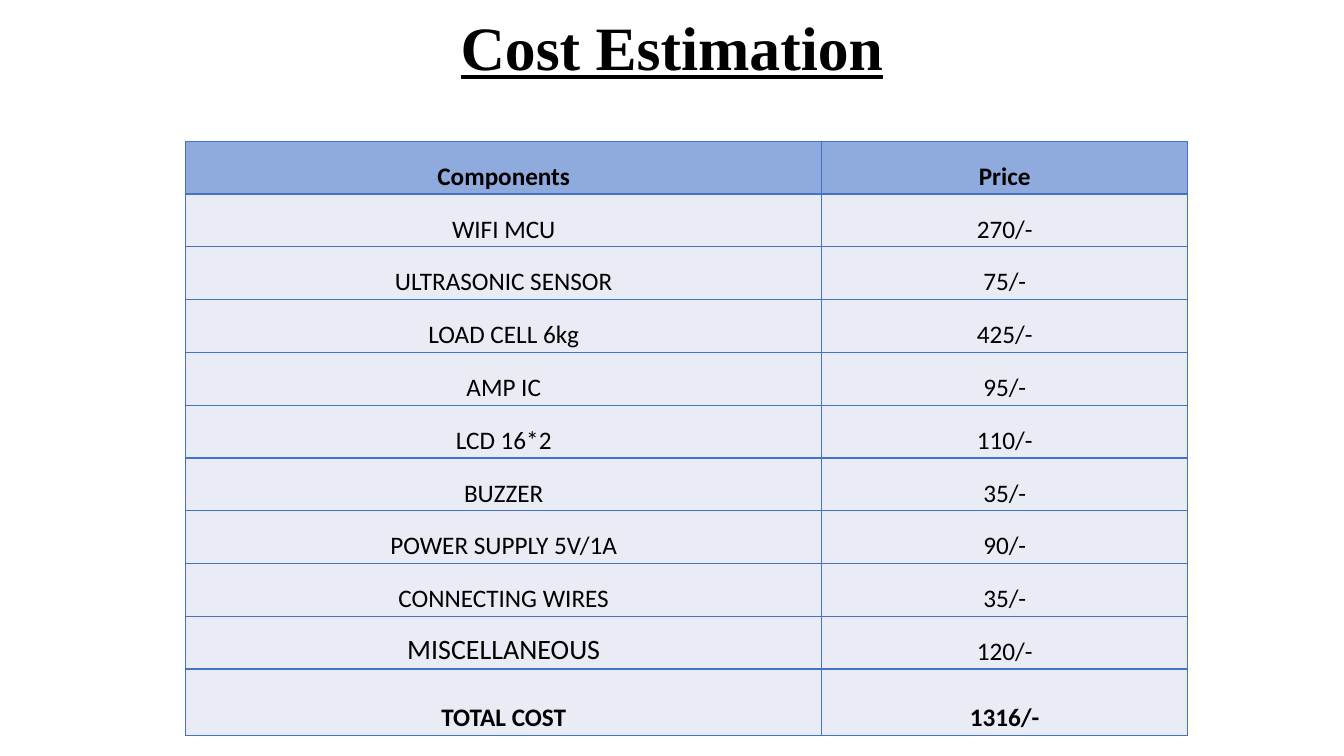
from dataclasses import dataclass

from lxml import etree
from pptx import Presentation
from pptx.dml.color import RGBColor
from pptx.enum.text import MSO_ANCHOR, PP_ALIGN
from pptx.oxml.ns import qn
from pptx.util import Cm, Pt

CENTER = PP_ALIGN.CENTER
MIDDLE = MSO_ANCHOR.MIDDLE
BOTTOM = MSO_ANCHOR.BOTTOM


@dataclass(frozen=True)
class Theme:
    ink: str = "000000"
    head: str = "8FAADC"
    body: str = "E9EBF5"
    rule: str = "4472C4"
    serif: str = "Times New Roman"
    sans: str = "Calibri"
    title: int = 44
    text: int = 18
    large: int = 20


class Deck:
    def __init__(self, theme):
        self.theme = theme
        self.file = Presentation()
        self.file.slide_width = Cm(33.87)
        self.file.slide_height = Cm(19.05)
        self.slide = self.file.slides.add_slide(self.file.slide_layouts[5])

    def style(self, para, face, size, bold):
        para.alignment = CENTER
        font = para.font
        font.name, font.size, font.bold = face, Pt(size), bold
        font.color.rgb = RGBColor.from_string(self.theme.ink)

    def title(self, text, left, top, width, height):
        box = self.slide.shapes.title
        box.left, box.top = Cm(left), Cm(top)
        box.width, box.height = Cm(width), Cm(height)
        frame = box.text_frame
        frame.text = text
        frame.vertical_anchor = MIDDLE
        para = frame.paragraphs[0]
        para.line_spacing = 0.9
        self.style(para, self.theme.serif, self.theme.title, True)
        para.font.underline = True

    def border(self, cell):
        """Draw a thin rule on all four sides; call before filling the cell."""
        props = cell._tc.get_or_add_tcPr()
        for side in ("lnL", "lnR", "lnT", "lnB"):
            line = etree.SubElement(props, qn(f"a:{side}"), w=str(Pt(1)))
            fill = etree.SubElement(line, qn("a:solidFill"))
            etree.SubElement(fill, qn("a:srgbClr"), val=self.theme.rule)

    def cell(self, cell, text, size, bold, fill):
        cell.text = text
        cell.vertical_anchor = BOTTOM
        cell.margin_left = cell.margin_right = Cm(0.08)
        cell.margin_top = cell.margin_bottom = Cm(0.05)
        self.style(cell.text_frame.paragraphs[0], self.theme.sans, size, bold)
        self.border(cell)
        cell.fill.solid()
        cell.fill.fore_color.rgb = RGBColor.from_string(fill)

    def table(self, rows, left, top, widths, heights, large):
        """Place a table with bold first and last rows; large names bigger texts."""
        frame = self.slide.shapes.add_table(
            len(rows), len(widths), Cm(left), Cm(top),
            Cm(sum(widths)), Cm(sum(heights)))
        grid = frame.table
        for col, width in zip(grid.columns, widths):
            col.width = Cm(width)
        last = len(rows) - 1
        for i, (row, height) in enumerate(zip(rows, heights)):
            grid.rows[i].height = Cm(height)
            fill = self.theme.body if i else self.theme.head
            for j, text in enumerate(row):
                size = self.theme.large if text in large else self.theme.text
                self.cell(grid.cell(i, j), text, size, i in (0, last), fill)


COSTS = [
    ("Components", "Price"),
    ("WIFI MCU", "270/-"),
    ("ULTRASONIC SENSOR", "75/-"),
    ("LOAD CELL 6kg", "425/-"),
    ("AMP IC", "95/-"),
    ("LCD 16*2", "110/-"),
    ("BUZZER", "35/-"),
    ("POWER SUPPLY 5V/1A", "90/-"),
    ("CONNECTING WIRES", "35/-"),
    ("MISCELLANEOUS", "120/-"),
    ("TOTAL COST", "1316/-"),
]


def main():
    deck = Deck(Theme())
    deck.title("Cost Estimation", 2.33, 0, 29.21, 2.54)
    heights = [1.335] * (len(COSTS) - 1) + [1.67]
    heights = [round(height, 2) for height in heights]
    deck.table(COSTS, 4.68, 3.56, [16.03, 9.22], heights, {"MISCELLANEOUS"})
    deck.file.save("out.pptx")


if __name__ == "__main__":
    main()
